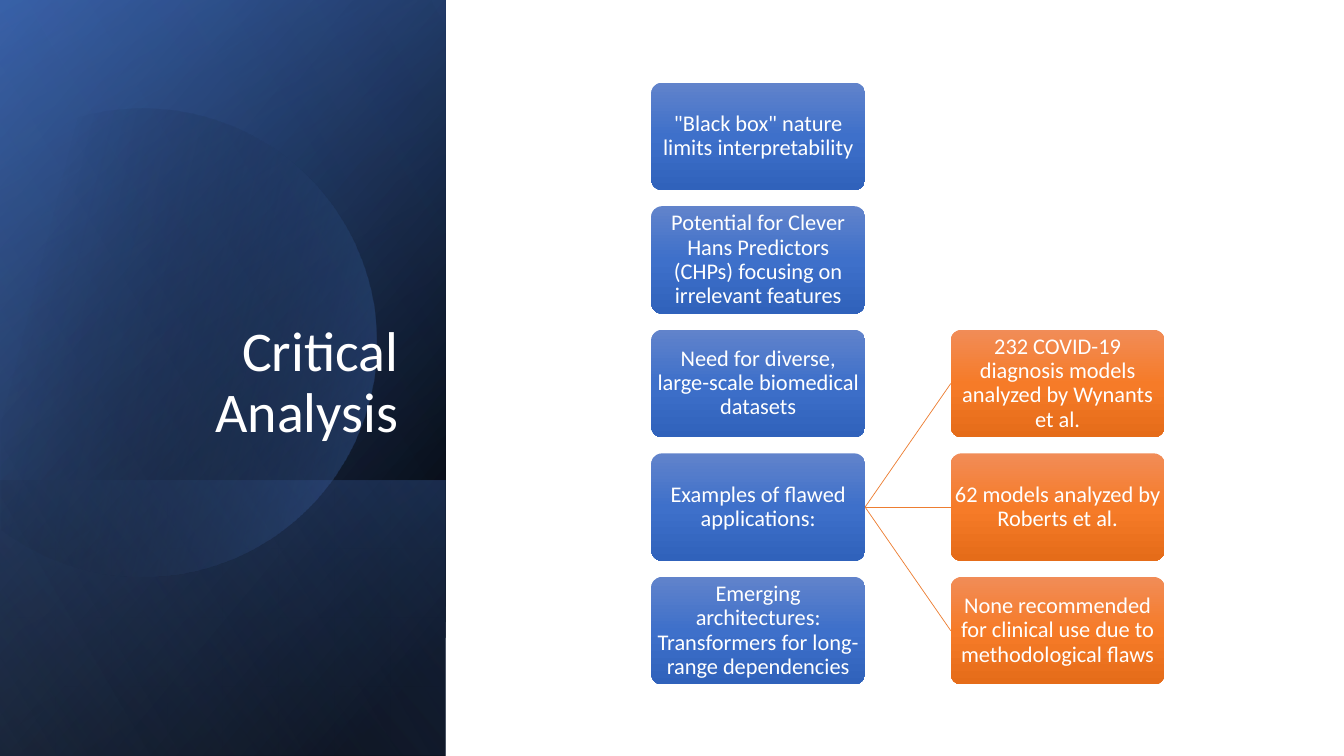
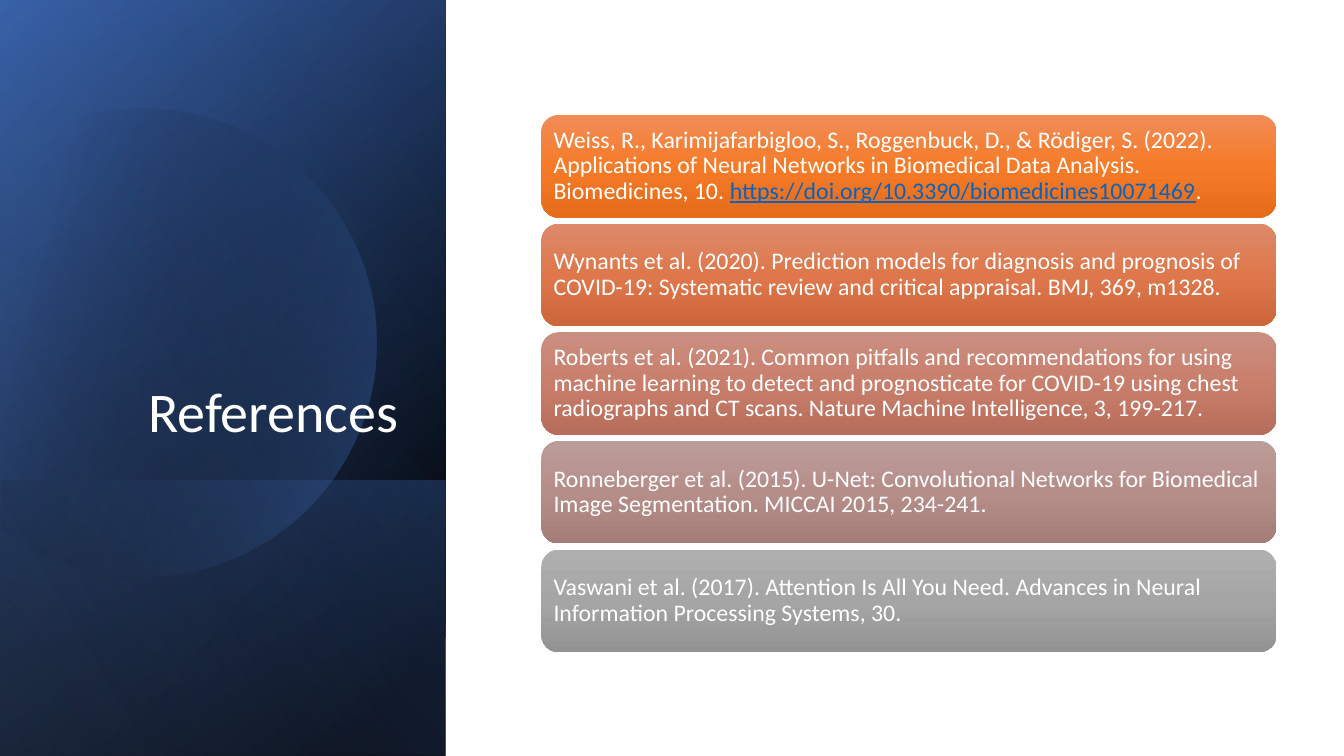
from lxml.etree import SubElement
from pptx import Presentation
from pptx.dml.color import RGBColor
from pptx.enum.shapes import MSO_CONNECTOR, MSO_SHAPE
from pptx.enum.text import MSO_ANCHOR, MSO_AUTO_SIZE, PP_ALIGN
from pptx.oxml.ns import qn
from pptx.util import Pt

SCALE = 9144  # EMU in one px, 100 px to the inch
FONT = "Calibri"

COLOURS = {
    "white": "FFFFFF", "black": "000000", "navy": "2F5597", "blue": "4472C4",
    "sky": "8FAADC", "orange": "ED7D31", "link": "0563C1",
}
# Top, middle and bottom colour of each kind of box
SHADES = {
    "blue": ("6183CB", "3E70CA", "3062BB"),
    "orange": ("F18C57", "F67B28", "E56C19"),
    "rust": ("DD8A6A", "DE774B", "CD673B"),
    "rose": ("CB8F81", "C97E6B", "B76D5B"),
    "mauve": ("BC9C99", "B68E89", "A47C78"),
    "grey": ("AFAFAF", "A5A5A5", "939393"),
}

SLIDE = (1333, 750)
PANEL = (0, 0, 442, 750)
LOWER_BAND_TOP = 477
CIRCLE = {"x": 141, "y": 340, "radius": 232, "half_angle": 127}
TITLE = (64, 184, 341, 262)
POINTS = (646, 82, 212, 597)
EXAMPLES_LEFT = 943
REFERENCES = (537, 114, 729, 533)

TITLE_FRAME = {"vertical_anchor": MSO_ANCHOR.BOTTOM, "word_wrap": True,
               "auto_size": MSO_AUTO_SIZE.NONE}
TITLE_PARAGRAPH = {"alignment": PP_ALIGN.RIGHT, "line_spacing": 0.9}
POINT_STYLE = {"size": 16, "margin": 1, "corner": 0.1, "align": PP_ALIGN.CENTER}
REFERENCE_STYLE = {"size": 17, "margin": 7, "corner": 0.1667, "align": PP_ALIGN.LEFT}

POINT_TEXTS = [
    '"Black box" nature limits interpretability',
    "Potential for Clever Hans Predictors (CHPs) focusing on irrelevant features",
    "Need for diverse, large-scale biomedical datasets",
    "Examples of flawed applications:",
    "Emerging architectures: Transformers for long-range dependencies",
]
EXAMPLE_TEXTS = [
    "232 COVID-19 diagnosis models analyzed by Wynants et al.",
    "62 models analyzed by Roberts et al.",
    "None recommended for clinical use due to methodological flaws",
]
# Each reference is a shade and its runs of (text, is an address)
REFERENCE_ITEMS = [
    ("orange", [
        ("Weiss, R., Karimijafarbigloo, S., Roggenbuck, D., & Rödiger, S. (2022). Applications "
         "of Neural Networks in Biomedical Data Analysis. Biomedicines, 10. ", False),
        ("https://doi.org/10.3390/biomedicines10071469", True),
        (".", False)]),
    ("rust", [
        ("Wynants et al. (2020). Prediction models for diagnosis and prognosis of COVID-19: "
         "Systematic review and critical appraisal. BMJ, 369, m1328.", False)]),
    ("rose", [
        ("Roberts et al. (2021). Common pitfalls and recommendations for using machine learning "
         "to detect and prognosticate for COVID-19 using chest radiographs and CT scans. "
         "Nature Machine Intelligence, 3, 199-217.", False)]),
    ("mauve", [
        ("Ronneberger et al. (2015). U-Net: Convolutional Networks for Biomedical Image "
         "Segmentation. MICCAI 2015, 234-241.", False)]),
    ("grey", [
        ("Vaswani et al. (2017). Attention Is All You Need. Advances in Neural Information "
         "Processing Systems, 30.", False)]),
]


def px(*lengths):
    return [round(length * SCALE) for length in lengths]


def set_attributes(target, values):
    for name, value in values.items():
        setattr(target, name, value)


def rows(box, count, gap):
    """Split a box into equal rows."""
    left, top, width, height = box
    row_height = (height - gap * (count - 1)) / count
    return [(left, top + i * (row_height + gap), width, row_height) for i in range(count)]


def fill_gradient(shape, stops, angle):
    """Stops are (position, colour, opacity) in percent; the angle runs clockwise."""
    shape.shadow.inherit = False
    shape.line.fill.background()
    shape.fill.gradient()
    shape.fill.gradient_angle = -angle % 360
    stop_list = next(shape._element.spPr.iter(qn("a:gsLst")))
    for stop in list(stop_list):
        stop_list.remove(stop)
    for position, colour, opacity in stops:
        stop = SubElement(stop_list, qn("a:gs"), pos=str(position * 1000))
        value = SubElement(stop, qn("a:srgbClr"), val=colour)
        if opacity < 100:
            SubElement(value, qn("a:alpha"), val=str(opacity * 1000))


def add_run(paragraph, text, size, colour="white", underline=None):
    run = paragraph.add_run()
    run.text = text
    set_attributes(run.font, {"name": FONT, "size": Pt(size), "underline": underline})
    run.font.color.rgb = RGBColor.from_string(COLOURS[colour])


def add_layer(slide, box, stops, angle, preset=MSO_SHAPE.RECTANGLE):
    shape = slide.shapes.add_shape(preset, *px(*box))
    fill_gradient(shape, stops, angle)
    return shape


def add_circle(slide, box):
    """Circle cut off by the left edge of the panel."""
    radius, half_angle = CIRCLE["radius"], CIRCLE["half_angle"]
    bounds = (box[0] + CIRCLE["x"] - radius, box[1] + CIRCLE["y"] - radius,
              2 * radius, 2 * radius)
    stops = [(29, COLOURS["black"], 0), (100, COLOURS["blue"], 43)]
    circle = add_layer(slide, bounds, stops, 14, MSO_SHAPE.CHORD)
    # Adjustments count 100000 units as one; a degree is 60000 units
    for i, degrees in enumerate((360 - half_angle, half_angle)):
        circle.adjustments[i] = degrees * 0.6


def add_panel(slide, box):
    """Dark panel of stacked gradients."""
    left, top, width, height = box
    black, blue = COLOURS["black"], COLOURS["blue"]
    band = (left, top + LOWER_BAND_TOP, width, height - LOWER_BAND_TOP)
    add_layer(slide, box, [(8, black, 100), (100, COLOURS["navy"], 100)], 220)
    add_layer(slide, box, [(0, black, 0), (99, blue, 46)], 240)
    add_layer(slide, band, [(2, blue, 29), (100, black, 30)], 140)
    add_circle(slide, box)
    add_layer(slide, box, [(0, black, 0), (99, COLOURS["sky"], 11)], 150)


def add_title(slide, box, text):
    title = slide.shapes.title
    slide.shapes._spTree.append(title._element)  # in front of the panel
    set_attributes(title, dict(zip(("left", "top", "width", "height"), px(*box))))
    set_attributes(title.text_frame, TITLE_FRAME)
    paragraph = title.text_frame.paragraphs[0]
    set_attributes(paragraph, TITLE_PARAGRAPH)
    add_run(paragraph, text, 40)


def add_box(slide, box, shade, runs, style):
    """Rounded box with a gradient and its text."""
    stops = [(p, c, 100) for p, c in zip((0, 50, 100), SHADES[shade])]
    shape = add_layer(slide, box, stops, 90, MSO_SHAPE.ROUNDED_RECTANGLE)
    shape.adjustments[0] = style["corner"]
    margin, = px(style["margin"])
    sides = ("margin_left", "margin_top", "margin_right", "margin_bottom")
    set_attributes(shape.text_frame, dict.fromkeys(sides, margin))
    set_attributes(shape.text_frame, {"word_wrap": True, "vertical_anchor": MSO_ANCHOR.MIDDLE})
    paragraph = shape.text_frame.paragraphs[0]
    set_attributes(paragraph, {"alignment": style["align"], "line_spacing": 0.9})
    for text, is_address in runs:
        colour = "link" if is_address else "white"
        add_run(paragraph, text, style["size"], colour, is_address or None)
    return shape


def add_branch(slide, parent, child):
    connector = slide.shapes.add_connector(MSO_CONNECTOR.STRAIGHT, 0, 0, 0, 0)
    connector.begin_connect(parent, 3)
    connector.end_connect(child, 1)
    connector.line.width = Pt(0.5)
    connector.line.color.rgb = RGBColor.from_string(COLOURS["orange"])
    SubElement(connector._element.spPr, qn("a:effectLst"))


def add_points(slide, box):
    """Column of points, the fourth branching into examples."""
    grid = rows(box, len(POINT_TEXTS), 16)
    points = [add_box(slide, row, "blue", [(text, False)], POINT_STYLE)
              for row, text in zip(grid, POINT_TEXTS)]
    for row, text in zip(grid[2:], EXAMPLE_TEXTS):
        example = add_box(slide, (EXAMPLES_LEFT, *row[1:]), "orange",
                          [(text, False)], POINT_STYLE)
        add_branch(slide, points[3], example)


def add_references(slide, box):
    """Stack of references, shading from orange to grey."""
    for row, (shade, runs) in zip(rows(box, len(REFERENCE_ITEMS), 6), REFERENCE_ITEMS):
        add_box(slide, row, shade, runs, REFERENCE_STYLE)


def main():
    presentation = Presentation()
    presentation.slide_width, presentation.slide_height = px(*SLIDE)
    title_only = presentation.slide_layouts[5]
    for title, add_content, box in (
        ("Critical Analysis", add_points, POINTS),
        ("References", add_references, REFERENCES),
    ):
        slide = presentation.slides.add_slide(title_only)
        add_panel(slide, PANEL)
        add_title(slide, TITLE, title)
        add_content(slide, box)
    presentation.save("out.pptx")


if __name__ == "__main__":
    main()
